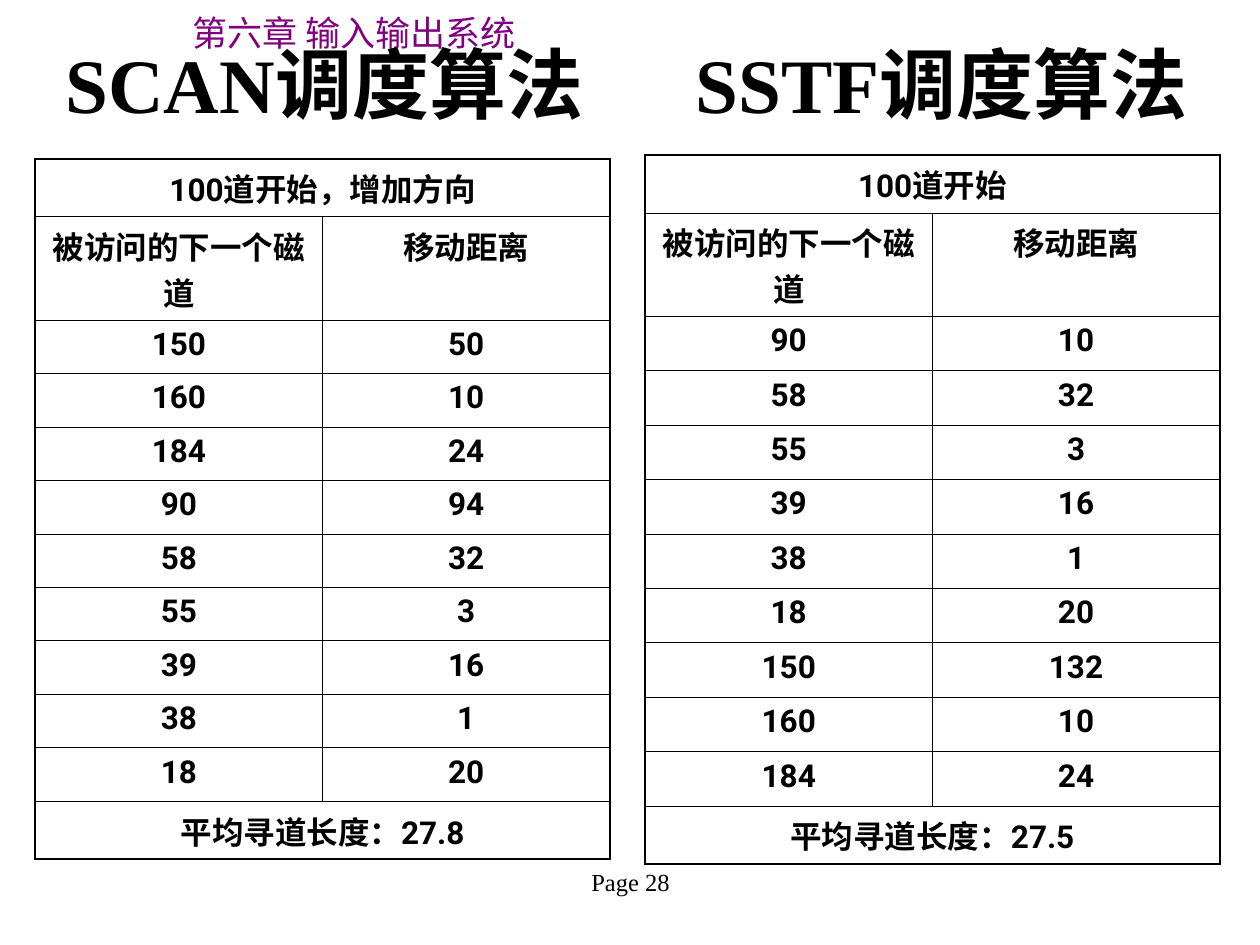
from lxml import etree
from pptx import Presentation
from pptx.dml.color import RGBColor
from pptx.enum.text import MSO_ANCHOR, MSO_AUTO_SIZE, PP_ALIGN
from pptx.oxml.ns import qn
from pptx.util import Inches, Pt

BLACK = RGBColor(0x00, 0x00, 0x00)
PURPLE = RGBColor(0x80, 0x00, 0x80)
SERIF = "Times New Roman"
SANS = "Roboto"
CJK = "Noto Sans CJK SC"

CHAPTER = "第六章 输入输出系统"
PAGE = "Page 28"
TITLE = "SCAN调度算法\tSSTF调度算法"
HEADINGS = ("被访问的下一个磁道", "移动距离")

SSTF = {
    "start": "100道开始",
    "moves": [(90, 10), (58, 32), (55, 3), (39, 16), (38, 1),
              (18, 20), (150, 132), (160, 10), (184, 24)],
    "average": "平均寻道长度：27.5",
    "place": (5.12, 1.23, 4.56, 5.63),
}
SCAN = {
    "start": "100道开始，增加方向",
    "moves": [(150, 50), (160, 10), (184, 24), (90, 94), (58, 32),
              (55, 3), (39, 16), (38, 1), (18, 20)],
    "average": "平均寻道长度：27.8",
    "place": (0.28, 1.26, 4.56, 5.56),
}

SPAN_HEIGHT = 0.46
HEADING_HEIGHT = 0.82
OUTER = Pt(1.08)
INNER = Pt(0.45)


def style(paragraph, font, size, color, bold=False):
    for run in paragraph.runs:
        run.font.name = font
        run.font.size = Pt(size)
        run.font.bold = bold
        run.font.color.rgb = color
        latin = run.font._element.find(qn("a:latin"))
        east_asian = etree.Element(qn("a:ea"), typeface=CJK)
        latin.addnext(east_asian)


def add_text(slide, place, text, font, size, color, bold=False,
             align=PP_ALIGN.CENTER, wrap=True):
    box = slide.shapes.add_textbox(*map(Inches, place))
    frame = box.text_frame
    frame.text = text
    frame.word_wrap = wrap
    paragraph = frame.paragraphs[0]
    paragraph.alignment = align
    style(paragraph, font, size, color, bold)
    return frame


def add_tab_stop(paragraph, position):
    properties = paragraph._p.get_or_add_pPr()
    stops = etree.SubElement(properties, qn("a:tabLst"))
    etree.SubElement(stops, qn("a:tab"), pos=str(Inches(position)), algn="l")


def set_borders(cell, widths):
    properties = cell._tc.get_or_add_tcPr()
    for index, (side, width) in enumerate(widths.items()):
        line = etree.Element(qn(f"a:ln{side}"), w=str(width))
        fill = etree.SubElement(line, qn("a:solidFill"))
        etree.SubElement(fill, qn("a:srgbClr"), val=str(BLACK))
        properties.insert(index, line)


def add_schedule(slide, schedule):
    moves = schedule["moves"]
    rows = [(schedule["start"], ""), HEADINGS, *moves, (schedule["average"], "")]
    last = len(rows) - 1
    place = schedule["place"]
    move_height = (place[3] - 2 * SPAN_HEIGHT - HEADING_HEIGHT) / len(moves)
    heights = [SPAN_HEIGHT, HEADING_HEIGHT, *[move_height] * len(moves), SPAN_HEIGHT]
    table = slide.shapes.add_table(len(rows), 2, *map(Inches, place)).table
    table.first_row = False
    table.horz_banding = False
    for r, values in enumerate(rows):
        table.rows[r].height = Inches(heights[r])
        for c, value in enumerate(values):
            cell = table.cell(r, c)
            cell.fill.background()
            merged = r in (0, last)
            set_borders(cell, {
                "L": OUTER if c == 0 or merged else INNER,
                "R": OUTER if c == 1 or merged else INNER,
                "T": OUTER if r == 0 else INNER,
                "B": OUTER if r == last else INNER,
            })
            cell.text_frame.text = str(value)
            paragraph = cell.text_frame.paragraphs[0]
            paragraph.alignment = PP_ALIGN.CENTER
            paragraph.space_before = Pt(4.5)
            style(paragraph, SANS, 18, BLACK, True)
    for r in (0, last):
        table.cell(r, 0).merge(table.cell(r, 1))


def main():
    deck = Presentation()
    deck.slide_width, deck.slide_height = Inches(10), Inches(7.5)
    slide = deck.slides.add_slide(deck.slide_layouts[6])

    chapter = add_text(slide, (1.43, 0.04, 2.9, 0.44), CHAPTER, CJK, 20, PURPLE,
                       align=PP_ALIGN.LEFT, wrap=False)
    chapter.auto_size = MSO_AUTO_SIZE.NONE
    add_text(slide, (3.42, 6.83, 3.17, 0.5), PAGE, SERIF, 14, BLACK)
    title = add_text(slide, (0.31, 0.36, 9.33, 0.6), TITLE, SERIF, 44, BLACK, True)
    title.vertical_anchor = MSO_ANCHOR.MIDDLE
    add_tab_stop(title.paragraphs[0], 5)

    for schedule in (SSTF, SCAN):
        add_schedule(slide, schedule)
    deck.save("out.pptx")


if __name__ == "__main__":
    main()
